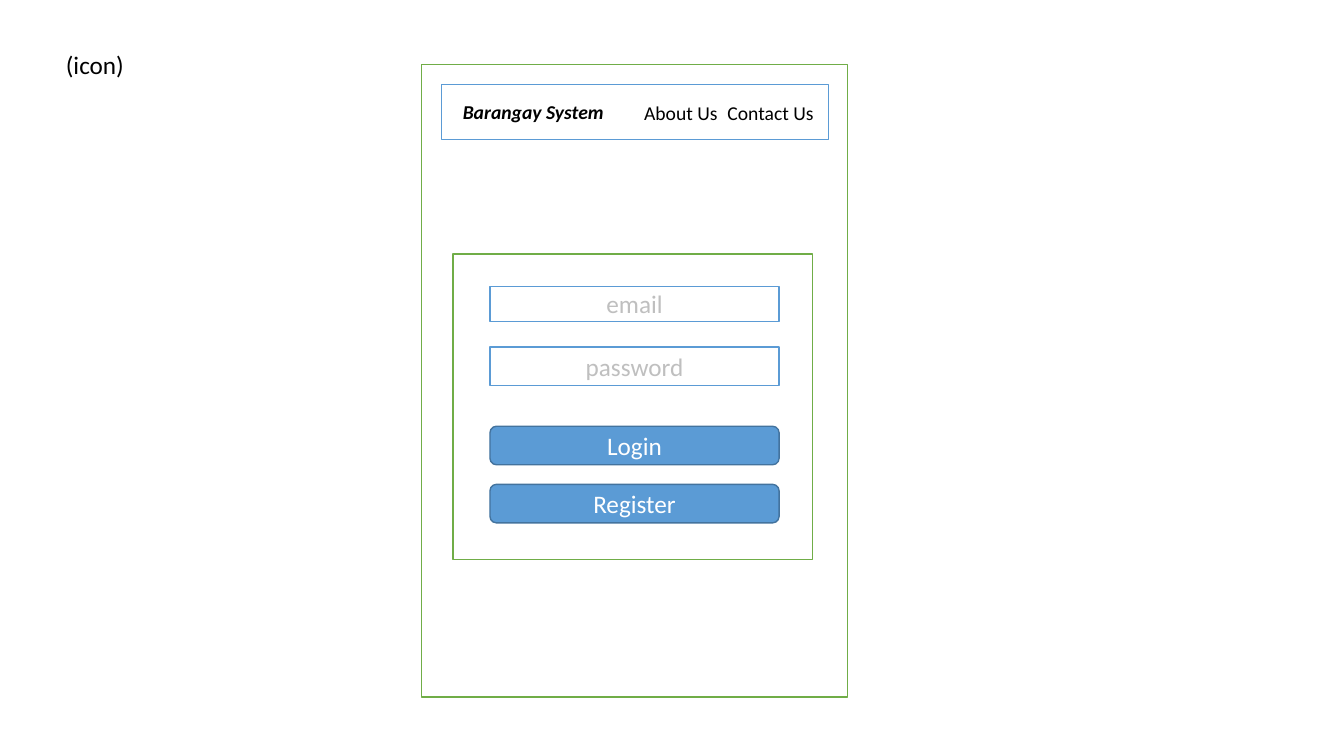
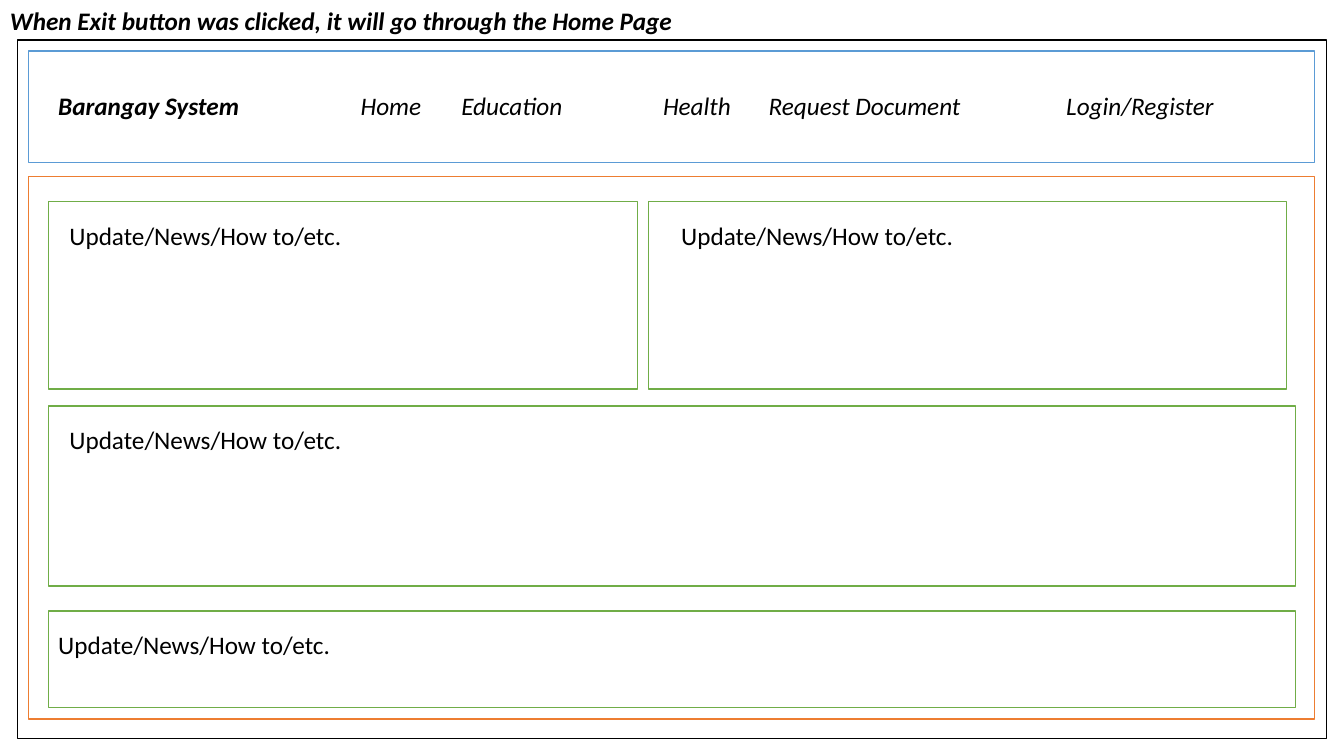
from lxml.etree import SubElement
from pptx import Presentation
from pptx.dml.color import RGBColor
from pptx.enum.shapes import MSO_SHAPE
from pptx.enum.text import MSO_ANCHOR, PP_ALIGN
from pptx.oxml.ns import qn
from pptx.util import Pt

FONT = "Calibri"
BLACK = RGBColor(0, 0, 0)
WHITE = RGBColor(255, 255, 255)
GREY = RGBColor(0xBF, 0xBF, 0xBF)
GREEN = RGBColor(0x70, 0xAD, 0x47)
BLUE = RGBColor(0x5B, 0x9B, 0xD5)
NAVY = RGBColor(0x43, 0x73, 0x9E)
ORANGE = RGBColor(0xED, 0x7D, 0x31)

BRAND = "Barangay System"
NEWS = "Update/News/How to/etc."
MENU = ["Home", "Education", "Health", "Request Document", "Login/Register"]
STOPS = [216, 288, 432, 507.5, 720]
FIELDS = [("email", 204.5, 25), ("password", 248, 27.5)]
BUTTONS = [("Login", 304.5), ("Register", 346)]
CARDS = [
    (34.5, 144, 421, 134, 42.5),
    (463, 144, 456, 134, 479.5),
    (34.5, 290, 891, 128.5, 42.5),
    (34.5, 436.5, 891, 69, 34.5),
]


def write(par, text, size=18, color=BLACK, bold=False, italic=False):
    run = par.add_run()
    run.text = text
    font = run.font
    font.name = FONT
    font.size = Pt(size)
    font.color.rgb = color
    font.bold = bold
    font.italic = italic


def add_box(slide, x, y, w, h, line, fill=WHITE, kind=MSO_SHAPE.RECTANGLE):
    box = slide.shapes.add_shape(kind, Pt(x), Pt(y), Pt(w), Pt(h))
    box.shadow.inherit = False
    box.fill.solid()
    box.fill.fore_color.rgb = fill
    box.line.color.rgb = line
    box.line.width = Pt(1)
    return box


def add_text(slide, x, y, w, text, wrap=True, **style):
    height = style.get("size", 18) * 1.2 + 7.2
    box = slide.shapes.add_textbox(Pt(x), Pt(y), Pt(w), Pt(height))
    box.text_frame.word_wrap = wrap
    par = box.text_frame.paragraphs[0]
    write(par, text, **style)
    return par


def label(box, text, color):
    frame = box.text_frame
    frame.word_wrap = True
    frame.vertical_anchor = MSO_ANCHOR.MIDDLE
    par = frame.paragraphs[0]
    par.alignment = PP_ALIGN.CENTER
    write(par, text, color=color)


def set_tabs(par, stops):
    tabs = SubElement(par._p.get_or_add_pPr(), qn("a:tabLst"))
    for stop in stops:
        SubElement(tabs, qn("a:tab"), pos=str(int(Pt(stop))), algn="l")


def draw_login(slide):
    add_box(slide, 301, 46, 304.5, 452, GREEN)
    add_box(slide, 315.5, 60.5, 276.5, 39, BLUE)
    add_text(slide, 323.5, 67.5, 116, BRAND, size=14, bold=True, italic=True)
    add_text(slide, 40, 31.5, 58, "(icon)")
    add_text(slide, 453, 68.5, 83.5, "About Us", size=14)
    add_text(slide, 512.5, 68.5, 106.5, "Contact Us", size=14)
    add_box(slide, 323.5, 181.5, 257, 218, GREEN)
    for text, y, h in FIELDS:
        label(add_box(slide, 350, y, 206.5, h, BLUE), text, GREY)
    for text, y in BUTTONS:
        box = add_box(slide, 350, y, 206.5, 27.5, NAVY, BLUE,
                      MSO_SHAPE.ROUNDED_RECTANGLE)
        label(box, text, WHITE)


def draw_home(slide):
    add_text(slide, 0, 0, 494,
             "When Exit button was clicked, it will go through the Home Page",
             wrap=False, bold=True, italic=True)
    add_box(slide, 12.5, 28.5, 935, 499, BLACK)
    add_box(slide, 20.5, 36.5, 918.5, 79.5, BLUE)
    par = add_text(slide, 34.5, 61, 891, BRAND, bold=True, italic=True)
    set_tabs(par, STOPS)
    write(par, "".join("\t" + item for item in MENU), italic=True)
    add_box(slide, 20.5, 126, 918.5, 387.5, ORANGE)
    for x, y, w, h, left in CARDS:
        add_box(slide, x, y, w, h, GREEN)
        add_text(slide, left, y + 9.5, 273, NEWS)


def main():
    deck = Presentation()
    deck.slide_width = Pt(960)
    deck.slide_height = Pt(540)
    for draw in (draw_login, draw_home):
        draw(deck.slides.add_slide(deck.slide_layouts[6]))
    deck.save("out.pptx")


if __name__ == "__main__":
    main()
